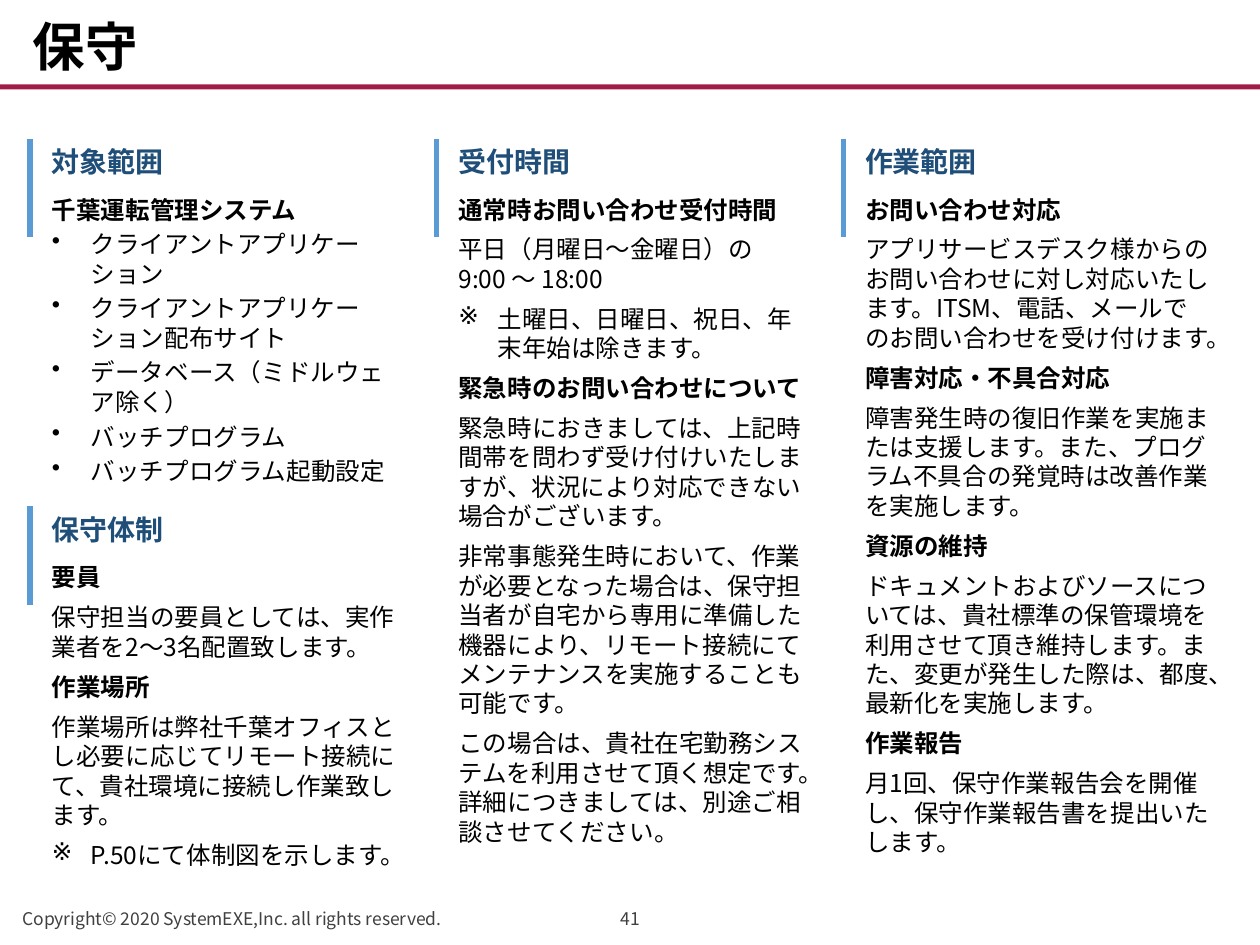
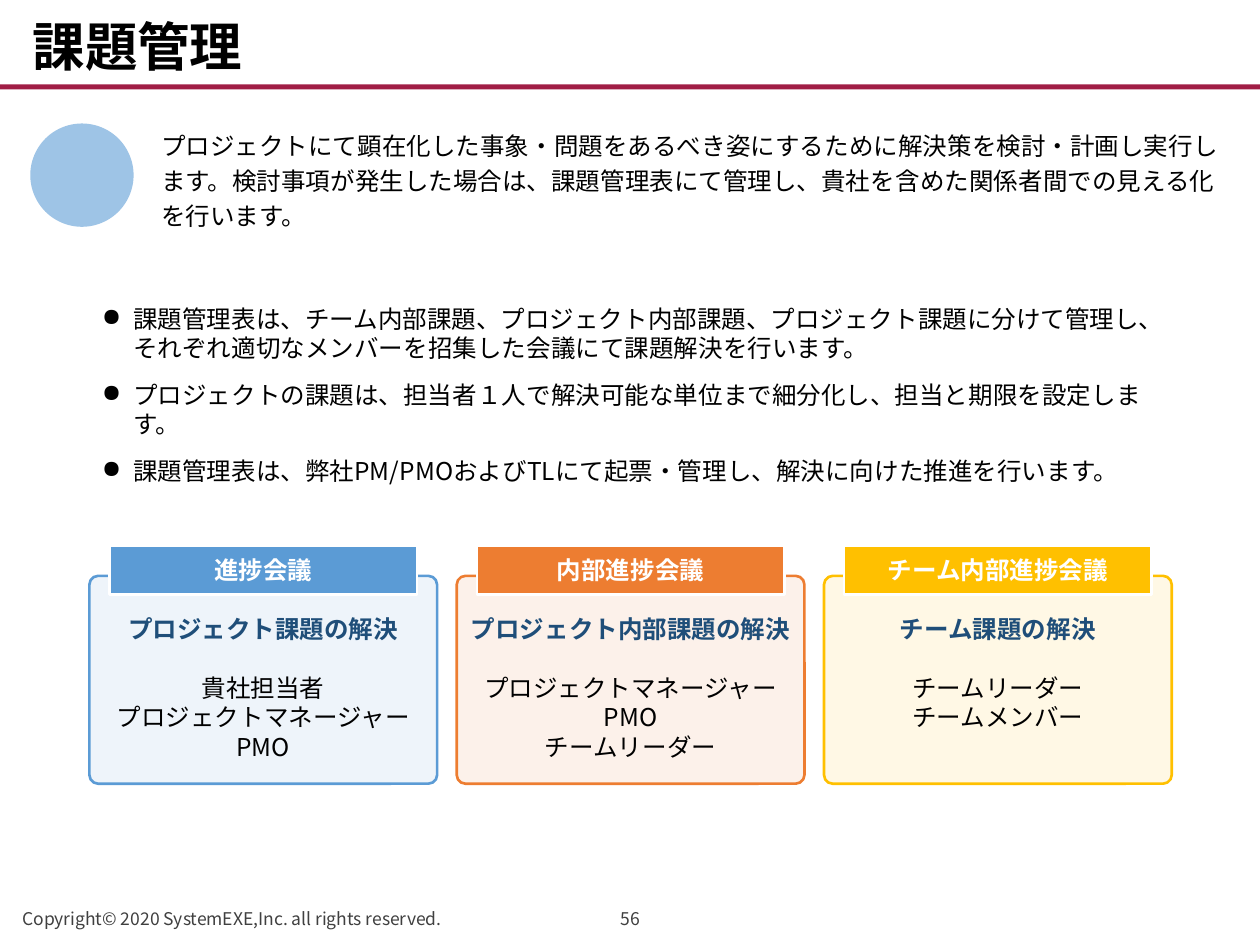
"""Build two proposal slides: maintenance terms and issue management."""
from dataclasses import dataclass

from lxml.etree import SubElement
from pptx import Presentation
from pptx.dml.color import RGBColor as Color
from pptx.enum.lang import MSO_LANGUAGE_ID as Language
from pptx.enum.shapes import MSO_CONNECTOR as Connector, MSO_SHAPE as Kind
from pptx.enum.text import MSO_ANCHOR as Anchor, PP_ALIGN as Align
from pptx.oxml.ns import qn
from pptx.util import Inches, Pt


@dataclass(frozen=True)
class Theme:
    font: str = "Noto Sans CJK JP"
    ink: str = "000000"
    footer: str = "404040"
    heading: str = "1F4E79"
    band: str = "A01D45"
    white: str = "FFFFFF"
    blue: str = "5B9BD5"
    orange: str = "ED7D31"
    yellow: str = "FFC000"
    pale_blue: str = "DEEBF7"
    pale_orange: str = "FBE5D6"
    pale_yellow: str = "FFF2CC"
    title_size: int = 30
    heading_size: int = 16
    text_size: int = 14
    footer_size: int = 10


theme = Theme()
deck = Presentation()
deck.slide_width, deck.slide_height = Inches(10), Inches(7.5)
column, row = deck.slide_width / 100, deck.slide_height / 75

text = {"size": theme.text_size, "color": theme.ink, "bold": False}
bold = {**text, "bold": True}
heading = {"size": theme.heading_size, "color": theme.heading, "bold": True}
footer = {"size": theme.footer_size, "color": theme.footer, "bold": False}
centre = {"alignment": Align.CENTER}
spaced = {"space_before": Pt(6)}
styles = {
    "title": ({**bold, "size": theme.title_size}, {"line_spacing": 0.9}, None, 0),
    "footer": (footer, {}, None, 0),
    "number": (footer, centre, None, 0),
    "heading": (heading, {}, None, 0),
    "topic": (bold, spaced, None, 0),
    "text": (text, spaced, None, 0),
    "note": (text, spaced, "※", 0.31),
    "item": (text, {"space_before": Pt(3)}, "•", 0.31),
    "lead": (text, {"line_spacing": 1.2}, None, 0),
    "point": (text, {"space_before": Pt(10)}, "●", 0.25),
    "tab": ({**bold, "color": theme.white}, centre, None, 0),
    "goal": ({**bold, "color": theme.heading}, centre, None, 0),
    "first member": (text, {**centre, "space_before": Pt(17)}, None, 0),
    "member": (text, centre, None, 0),
}


def add_box(page, left, top, width, height, kind=None, fill=None, opacity=100, line=None):
    """Place a text box or preset shape on the slide grid."""
    area = [round(n) for n in (left * column, top * row, width * column, height * row)]
    if kind is None:
        return page.shapes.add_textbox(*area)
    box = page.shapes.add_shape(kind, *area)
    box.shadow.inherit = False
    box.fill.solid()
    box.fill.fore_color.rgb = Color.from_string(fill)
    if opacity < 100:
        tint = box.fill._xPr.find(qn("a:solidFill"))[0]
        SubElement(tint, qn("a:alpha"), val=str(opacity * 1000))
    if line:
        box.line.color.rgb = Color.from_string(line)
        box.line.width = Pt(1.5)
    else:
        box.line.fill.background()
    return box


def write(box, paragraphs, **frame_format):
    """Fill a box with (style, wording) paragraphs."""
    frame = box.text_frame
    for name, value in {"word_wrap": True, "vertical_anchor": Anchor.TOP, **frame_format}.items():
        setattr(frame, name, value)
    for index, (style, wording) in enumerate(paragraphs):
        font, layout, mark, indent = styles[style]
        para = frame.add_paragraph() if index else frame.paragraphs[0]
        for name, value in {"alignment": Align.LEFT, **layout}.items():
            if index or name != "space_before":
                setattr(para, name, value)
        if mark:
            properties = para._p.get_or_add_pPr()
            properties.set("marL", str(Inches(indent)))
            properties.set("indent", str(-Inches(indent)))
            SubElement(properties, qn("a:buChar"), char=mark)
        span = para.add_run()
        span.text = wording
        span.font.color.rgb = Color.from_string(font["color"])
        for name, value in {"size": Pt(font["size"]), "bold": font["bold"], "name": theme.font,
                            "language_id": Language.JAPANESE}.items():
            setattr(span.font, name, value)
        SubElement(span._r.get_or_add_rPr(), qn("a:ea"), typeface=theme.font)


pages = []
for title, number in (("保守", "41"), ("課題管理", "56")):
    page = deck.slides.add_slide(deck.slide_layouts[6])
    add_box(page, 0, 6.7, 100, 0.4, Kind.RECTANGLE, theme.band)
    for area, style, wording in (
        ((1.6, 0.4, 96.9, 6.3), "title", title),
        ((0.8, 71.1, 42.5, 3.1), "footer", "Copyright© 2020 SystemEXE,Inc. all rights reserved."),
        ((46.1, 71.1, 7.9, 3.1), "number", number),
    ):
        write(add_box(page, *area), [(style, wording)], vertical_anchor=Anchor.BOTTOM)
    pages.append(page)
maintenance, issues = pages

sections = [
    (0, 11, 26.8, "対象範囲", [
        ("topic", "千葉運転管理システム"),
        ("item", "クライアントアプリケーション"),
        ("item", "クライアントアプリケーション配布サイト"),
        ("item", "データベース（ミドルウェア除く）"),
        ("item", "バッチプログラム"),
        ("item", "バッチプログラム起動設定"),
    ]),
    (0, 40.2, 25.2, "保守体制", [
        ("topic", "要員"),
        ("text", "保守担当の要員としては、実作業者を2～3名配置致します。"),
        ("topic", "作業場所"),
        ("text", "作業場所は弊社千葉オフィスとし必要に応じてリモート接続にて、"
                 "貴社環境に接続し作業致します。"),
        ("note", "P.50にて体制図を示します。"),
    ]),
    (1, 11, 54.3, "受付時間", [
        ("topic", "通常時お問い合わせ受付時間"),
        ("text", "平日（月曜日～金曜日）の 9:00 ～ 18:00"),
        ("note", "土曜日、日曜日、祝日、年末年始は除きます。"),
        ("topic", "緊急時のお問い合わせについて"),
        ("text", "緊急時におきましては、上記時間帯を問わず受け付けいたしますが、"
                 "状況により対応できない場合がございます。"),
        ("text", "非常事態発生時において、作業が必要となった場合は、保守担当者が自宅から"
                 "専用に準備した機器により、リモート接続にてメンテナンスを実施することも可能です。"),
        ("text", "この場合は、貴社在宅勤務システムを利用させて頂く想定です。"
                 "詳細につきましては、別途ご相談させてください。"),
    ]),
    (2, 11, 54.3, "作業範囲", [
        ("topic", "お問い合わせ対応"),
        ("text", "アプリサービスデスク様からのお問い合わせに対し対応いたします。"
                 "ITSM、電話、メールでのお問い合わせを受け付けます。"),
        ("topic", "障害対応・不具合対応"),
        ("text", "障害発生時の復旧作業を実施または支援します。"
                 "また、プログラム不具合の発覚時は改善作業を実施します。"),
        ("topic", "資源の維持"),
        ("text", "ドキュメントおよびソースについては、貴社標準の保管環境を利用させて頂き維持します。"
                 "また、変更が発生した際は、都度、最新化を実施します。"),
        ("topic", "作業報告"),
        ("text", "月1回、保守作業報告会を開催し、保守作業報告書を提出いたします。"),
    ]),
]
for place, top, height, name, paragraphs in sections:
    left = 2.38 + 32.27 * place
    ends = [round(n) for n in (left * column, top * row, left * column, (top + 7.85) * row)]
    bar = maintenance.shapes.add_connector(Connector.STRAIGHT, *ends)
    bar.line.color.rgb = Color.from_string(theme.blue)
    bar.line.width = Pt(3)
    SubElement(bar._element.spPr, qn("a:effectLst"))
    write(add_box(maintenance, left + 0.75, top, 29.1, 3.7), [("heading", name)])
    write(add_box(maintenance, left + 0.75, top + 3.95, 29.5, height), paragraphs)

write(add_box(issues, 7.1, 23.6, 85.8, 18.9), [
    ("point", "課題管理表は、チーム内部課題、プロジェクト内部課題、プロジェクト課題に分けて管理し、"
              "それぞれ適切なメンバーを招集した会議にて課題解決を行います。"),
    ("point", "プロジェクトの課題は、担当者１人で解決可能な単位まで細分化し、担当と期限を設定します。"),
    ("point", "課題管理表は、弊社PM/PMOおよびTLにて起票・管理し、解決に向けた推進を行います。"),
])
write(add_box(issues, 11.8, 9.4, 86.6, 10.2), [
    ("lead", "プロジェクトにて顕在化した事象・問題をあるべき姿にするために解決策を検討・計画し実行します。"
             "検討事項が発生した場合は、課題管理表にて管理し、貴社を含めた関係者間での見える化を行います。"),
])
add_box(issues, 2.4, 9.8, 8.2, 8.2, Kind.OVAL, theme.blue, 59)

meetings = [
    ("進捗会議", theme.blue, theme.pale_blue, "プロジェクト課題の解決",
     ["貴社担当者", "プロジェクトマネージャー", "PMO"]),
    ("内部進捗会議", theme.orange, theme.pale_orange, "プロジェクト内部課題の解決",
     ["プロジェクトマネージャー", "PMO", "チームリーダー"]),
    ("チーム内部進捗会議", theme.yellow, theme.pale_yellow, "チーム課題の解決",
     ["チームリーダー", "チームメンバー"]),
]
for place, (name, strong, pale, goal, members) in enumerate(meetings):
    left = 7.1 + 29.15 * place
    card = add_box(issues, left, 45.7, 27.6, 16.5, Kind.ROUNDED_RECTANGLE, pale, 50, strong)
    card.adjustments[0] = 0.042
    lines = [("goal", goal), ("first member", members[0])]
    lines += [("member", member) for member in members[1:]]
    write(card, lines, margin_left=Inches(0.08), margin_right=Inches(0.08), margin_top=Inches(0.28))
    tab = add_box(issues, left + 1.6, 43.3, 24.4, 3.9, Kind.RECTANGLE, strong, line=theme.white)
    write(tab, [("tab", name)], vertical_anchor=Anchor.MIDDLE)

deck.save("out.pptx")
